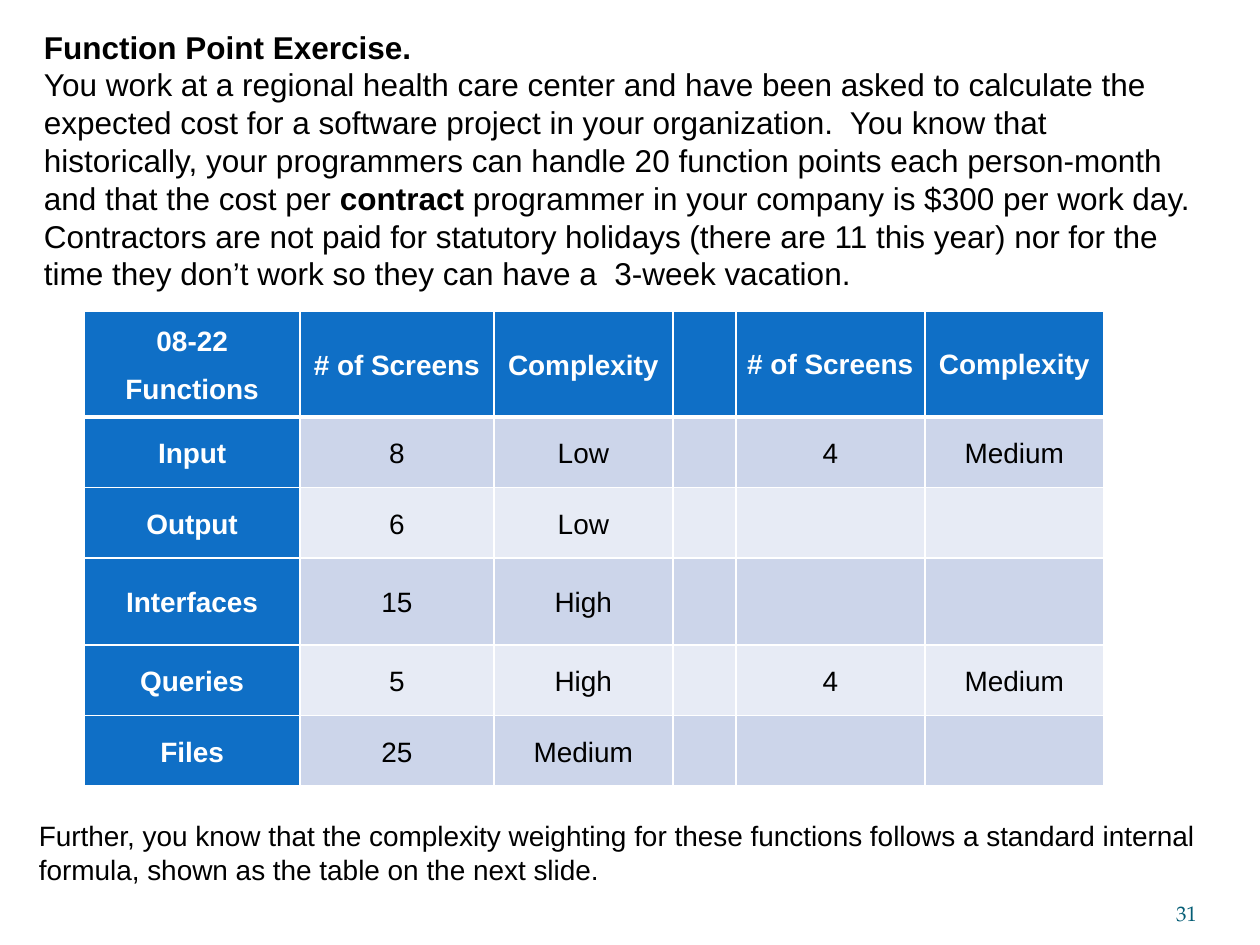
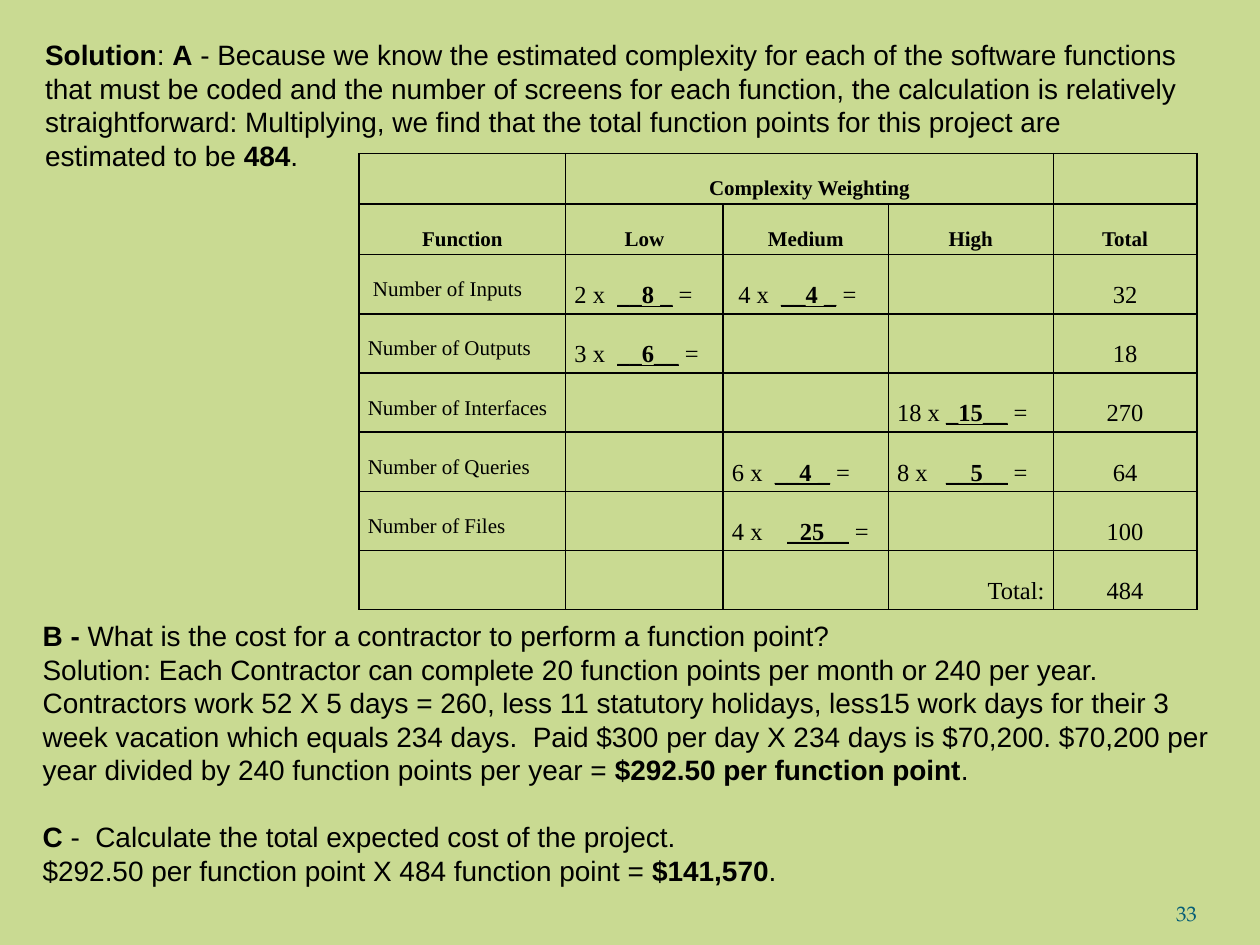
from dataclasses import dataclass

from lxml import etree
from pptx import Presentation
from pptx.dml.color import RGBColor
from pptx.enum.text import MSO_ANCHOR, PP_ALIGN
from pptx.oxml.ns import qn
from pptx.util import Inches, Pt

LEFT, CENTER, RIGHT = PP_ALIGN.LEFT, PP_ALIGN.CENTER, PP_ALIGN.RIGHT
TOP, MIDDLE, BOTTOM = MSO_ANCHOR.TOP, MSO_ANCHOR.MIDDLE, MSO_ANCHOR.BOTTOM

COLORS = {
    "white": "FFFFFF",
    "black": "000000",
    "green": "C9DA92",
    "header": "0F6FC6",
    "band dark": "CCD5EA",
    "band light": "E7EBF5",
    "page number": "045D75",
}
BODY_FONT = "Arial"
FORM_FONT = "Times New Roman"
NUMBER_FONT = "TeX Gyre Pagella"


@dataclass(frozen=True)
class Style:
    font: str
    size: float
    color: str = "black"
    bold: bool = False
    align: PP_ALIGN = LEFT
    line_spacing: float = 1.0
    space_after: float = 0


@dataclass(frozen=True)
class Box:
    left: float
    top: float
    width: float
    height: float


@dataclass(frozen=True)
class Weighting:
    """Weight times a filled-in blank; blank_at is the tab position."""
    weight: int
    before: str
    count: int
    after: str
    blank_at: float = 0.34
    indent: float = 0


@dataclass(frozen=True)
class FunctionRow:
    name: str
    low: Weighting | None
    medium: Weighting | None
    high: Weighting | None
    total: int
    indent: float = 0


def rgb(name: str) -> RGBColor:
    return RGBColor.from_string(COLORS[name])


def style_paragraph(paragraph, style: Style) -> None:
    paragraph.alignment = style.align
    paragraph.line_spacing = style.line_spacing
    paragraph.space_after = Pt(style.space_after)
    font = paragraph.font
    font.name, font.size, font.bold = style.font, Pt(style.size), style.bold
    font.color.rgb = rgb(style.color)


def write_paragraphs(text_frame, texts: list[str], style: Style) -> None:
    """Write one paragraph per text; ** marks the start and end of bold."""
    for index, text in enumerate(texts):
        paragraph = text_frame.paragraphs[0] if index == 0 else text_frame.add_paragraph()
        style_paragraph(paragraph, style)
        for part, piece in enumerate(text.split("**")):
            if piece:
                run = paragraph.add_run()
                run.text = piece
                if part % 2:
                    run.font.bold = True


def add_text(slide, box: Box, texts: list[str], style: Style):
    shape = slide.shapes.add_textbox(
        Inches(box.left), Inches(box.top), Inches(box.width), Inches(box.height))
    shape.text_frame.word_wrap = True
    write_paragraphs(shape.text_frame, texts, style)
    return shape.text_frame


def set_margins(target, left: float, top: float, right: float, bottom: float) -> None:
    target.margin_left, target.margin_top = Inches(left), Inches(top)
    target.margin_right, target.margin_bottom = Inches(right), Inches(bottom)


def add_page_number(slide, number: int) -> None:
    style = Style(NUMBER_FONT, 12, "page number", align=RIGHT)
    text_frame = add_text(slide, Box(8.67, 6.95, 0.83, 0.4), [str(number)], style)
    text_frame.vertical_anchor = BOTTOM
    set_margins(text_frame, 0, 0, 0, 0)


def add_slide(presentation, background: str, number: int):
    slide = presentation.slides.add_slide(presentation.slide_layouts[6])
    slide.background.fill.solid()
    slide.background.fill.fore_color.rgb = rgb(background)
    add_page_number(slide, number)
    return slide


def set_borders(cell, color: str, bottom_width: float = 1) -> None:
    properties = cell._tc.get_or_add_tcPr()
    for side, width in (("L", 1), ("R", 1), ("T", 1), ("B", bottom_width)):
        line = etree.SubElement(properties, qn(f"a:ln{side}"), w=str(Pt(width)))
        fill = etree.SubElement(line, qn("a:solidFill"))
        etree.SubElement(fill, qn("a:srgbClr"), val=COLORS[color])


def add_table(slide, left: float, top: float, widths: list[float], heights: list[float]):
    table = slide.shapes.add_table(
        len(heights), len(widths), Inches(left), Inches(top),
        Inches(sum(widths)), Inches(sum(heights))).table
    table.first_row = table.horz_banding = False
    for column, width in zip(table.columns, widths):
        column.width = Inches(width)
    for row, height in zip(table.rows, heights):
        row.height = Inches(height)
    return table


# Exercise slide: screens per function
SCREEN_ROWS = [
    ["08-22\nFunctions", "# of Screens", "Complexity", "", "# of Screens", "Complexity"],
    ["Input", "8", "Low", "", "4", "Medium"],
    ["Output", "6", "Low", "", "", ""],
    ["Interfaces", "15", "High", "", "", ""],
    ["Queries", "5", "High", "", "4", "Medium"],
    ["Files", "25", "Medium", "", "", ""],
]


def add_screens_table(slide) -> None:
    table = add_table(slide, 0.67, 2.47, [1.71, 1.54, 1.42, 0.5, 1.5, 1.42],
                      [0.84, 0.56, 0.56, 0.69, 0.56, 0.56])
    for row, texts in enumerate(SCREEN_ROWS):
        for column, text in enumerate(texts):
            cell = table.cell(row, column)
            heading = row == 0 or column == 0
            set_borders(cell, "white", 3 if row == 0 else 1)
            cell.fill.solid()
            band = "band dark" if row % 2 else "band light"
            cell.fill.fore_color.rgb = rgb("header" if heading else band)
            if not text:
                continue
            cell.vertical_anchor = MIDDLE
            if column < 3:
                set_margins(cell, 0.07, 0.01, 0.07, 0)
            else:
                set_margins(cell, 0, 0, 0, 0)
            style = Style(BODY_FONT, 16, "white" if heading else "black", heading,
                          CENTER, line_spacing=1.07, space_after=8)
            write_paragraphs(cell.text_frame, text.split("\n"), style)


def build_exercise(presentation) -> None:
    slide = add_slide(presentation, "white", 31)
    add_text(slide, Box(0.25, 0.17, 9.42, 2.22), [
        "**Function Point Exercise.**",
        "You work at a regional health care center and have been asked to calculate the "
        "expected cost for a software project in your organization.  You know that "
        "historically, your programmers can handle 20 function points each person-month "
        "and that the cost per **contract** programmer in your company is $300 per work "
        "day.  Contractors are not paid for statutory holidays (there are 11 this year) "
        "nor for the time they don’t work so they can have a  3-week vacation.",
    ], Style(BODY_FONT, 18))
    add_text(slide, Box(0.21, 6.45, 9.5, 0.64), [
        "Further, you know that the complexity weighting for these functions follows a "
        "standard internal formula, shown as the table on the next slide.",
    ], Style(BODY_FONT, 16))
    add_screens_table(slide)


# Solution slide: weighted function points
FUNCTION_ROWS = [
    FunctionRow("Number of Inputs", Weighting(2, "__", 8, " _"),
                Weighting(4, "__", 4, " _", indent=0.05), None, 32, indent=0.04),
    FunctionRow("Number of Outputs", Weighting(3, "__", 6, "__"), None, None, 18),
    FunctionRow("Number of Interfaces", None, None,
                Weighting(18, "_", 15, "__", blank_at=0.39), 270),
    FunctionRow("Number of Queries", None, Weighting(6, "__", 4, " _"),
                Weighting(8, "__", 5, "__", blank_at=0.39), 64),
    FunctionRow("Number of Files", None,
                Weighting(4, "_", 25, "__", blank_at=0.44), None, 100),
]
LABEL = Style(FORM_FONT, 12, line_spacing=2.0)
HEADING = Style(FORM_FONT, 12, bold=True, align=CENTER, line_spacing=2.0)
ENTRY = Style(FORM_FONT, 14, line_spacing=2.0)
AMOUNT = Style(FORM_FONT, 14, align=CENTER, line_spacing=2.0)
TOTAL_LABEL = Style(FORM_FONT, 14, align=RIGHT, line_spacing=2.0)


def write_cell(cell, text: str, style: Style, indent: float = 0) -> None:
    set_margins(cell, 0.07 + indent, 0, 0.07, 0)
    write_paragraphs(cell.text_frame, [text], style)


def write_weighting(cell, entry: Weighting) -> None:
    set_margins(cell, 0.07 + entry.indent, 0, 0.07, 0)
    paragraph = cell.text_frame.paragraphs[0]
    paragraph.line_spacing = ENTRY.line_spacing
    paragraph.space_after = Pt(0)
    tabs = etree.SubElement(paragraph._p.get_or_add_pPr(), qn("a:tabLst"))
    etree.SubElement(tabs, qn("a:tab"), pos=str(Inches(entry.blank_at)), algn="l")
    style_paragraph(paragraph, ENTRY)
    pieces = [(f"{entry.weight} x\t", False, False), (entry.before, True, False),
              (str(entry.count), True, True), (entry.after, True, False),
              (" =", False, False)]
    for text, underline, bold in pieces:
        run = paragraph.add_run()
        run.text = text
        run.font.underline, run.font.bold = underline, bold


def add_weighting_table(slide) -> None:
    table = add_table(slide, 2.85, 1.22, [1.64, 1.25, 1.31, 1.31, 1.14],
                      [0.4] * 2 + [0.47] * 6)
    table.cell(0, 1).merge(table.cell(0, 3))
    for cell in table.iter_cells():
        set_borders(cell, "black")
        cell.fill.background()
        cell.vertical_anchor = TOP

    write_cell(table.cell(0, 1), "Complexity Weighting", HEADING)
    for column, text in enumerate(["Function", "Low", "Medium", "High", "Total"]):
        write_cell(table.cell(1, column), text, HEADING)
    for row, function in enumerate(FUNCTION_ROWS, start=2):
        write_cell(table.cell(row, 0), function.name, LABEL, function.indent)
        for column, entry in enumerate((function.low, function.medium, function.high), 1):
            if entry:
                write_weighting(table.cell(row, column), entry)
        write_cell(table.cell(row, 4), str(function.total), AMOUNT)
    write_cell(table.cell(7, 3), "Total:", TOTAL_LABEL)
    write_cell(table.cell(7, 4), str(sum(row.total for row in FUNCTION_ROWS)), AMOUNT)


def build_solution(presentation) -> None:
    slide = add_slide(presentation, "green", 33)
    body = Style(BODY_FONT, 16)
    add_text(slide, Box(0.26, 0.25, 9.25, 1.18), [
        "**Solution**: **A** - Because we know the estimated complexity for each of the "
        "software functions that must be coded and the number of screens for each "
        "function, the calculation is relatively straightforward: Multiplying, we find "
        "that the total function points for this project are estimated to be **484**.",
    ], body)
    add_weighting_table(slide)
    answers = add_text(slide, Box(0.24, 4.86, 9.52, 2.26), [
        "**B - **What is the cost for a contractor to perform a function point?",
        "Solution: Each Contractor can complete 20 function points per month or 240 per "
        "year. Contractors work 52 X 5 days = 260, less 11 statutory holidays, less15 "
        "work days for their 3 week vacation which equals 234 days.  Paid $300 per day X "
        "234 days is $70,200. $70,200 per year divided by 240 function points per year = "
        "**$292.50 per function point**.",
        "**C** -  Calculate the total expected cost of the project.",
        "$292.50 per function point X 484 function point = **$141,570**.",
    ], body)
    answers.paragraphs[2].space_before = Pt(19)


def main() -> None:
    presentation = Presentation()
    presentation.slide_width, presentation.slide_height = Inches(10), Inches(7.5)
    build_exercise(presentation)
    build_solution(presentation)
    presentation.save("out.pptx")


if __name__ == "__main__":
    main()
